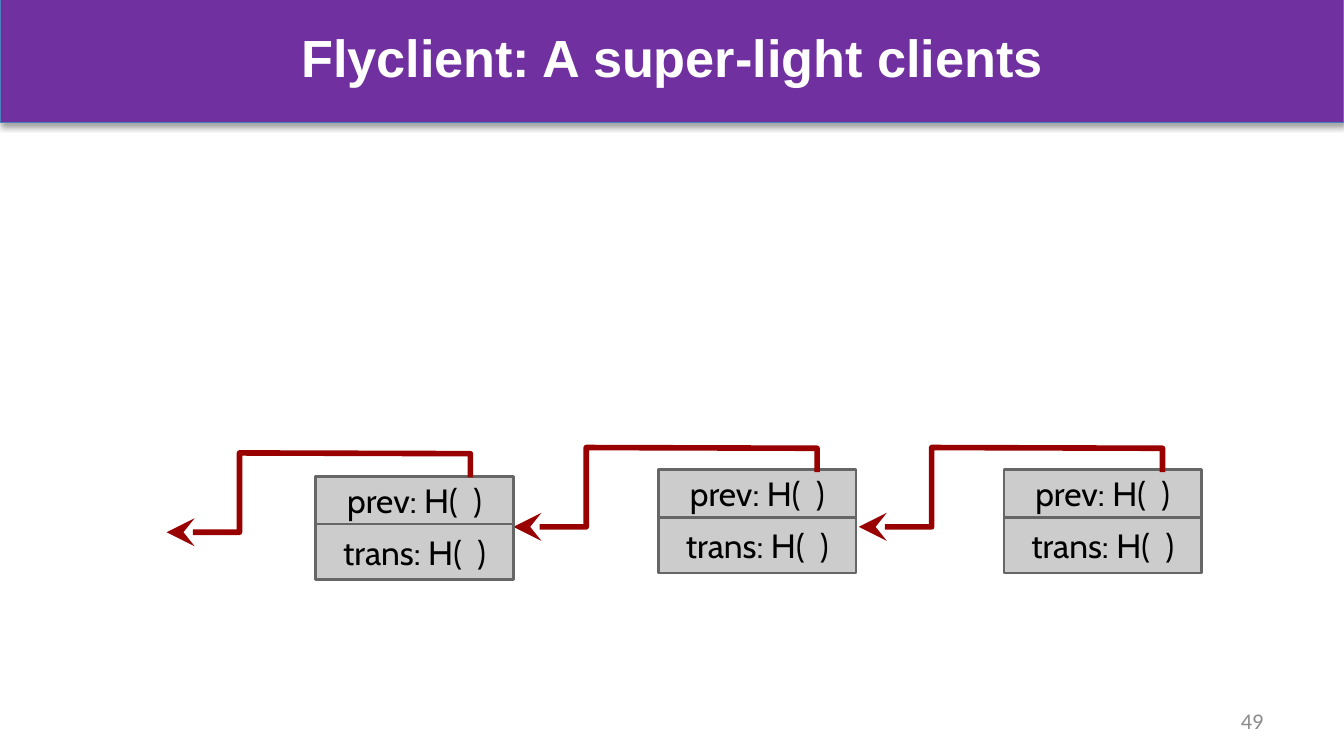
from collections import namedtuple

from lxml import etree
from pptx import Presentation
from pptx.dml.color import RGBColor
from pptx.enum.shapes import MSO_SHAPE
from pptx.enum.text import MSO_ANCHOR, PP_ALIGN
from pptx.oxml.ns import qn
from pptx.util import Inches, Pt

RECTANGLE = MSO_SHAPE.RECTANGLE
MIDDLE = MSO_ANCHOR.MIDDLE
CENTER, RIGHT = PP_ALIGN.CENTER, PP_ALIGN.RIGHT

COLORS = {
    "banner": "7030A0",
    "banner_edge": "4B7EBC",
    "title": "FFFFFF",
    "block": "CCCCCC",
    "block_edge": "666666",
    "block_text": "000000",
    "link": "990000",
    "number": "8C8C8C",
    "shadow": "000000",
}

WIDTH = 10
HEIGHT = WIDTH * 9 / 16
COLUMN = WIDTH / 100
ROW = COLUMN

Box = namedtuple("Box", "left top width height")

BANNER = Box(0, -0.1, 100, 9.2)
TITLE = Box(5, 1.4, 90, 6.8)
NUMBER = Box(71.7, 52.15, 23.3, 3)
BLOCK_WIDTH, BLOCK_HEIGHT = 14.7, 7.7
LINK_WIDTH, LINK_HEIGHT = 22.6, 5.9
CHAIN = [
    ((49, 34.95), (38.2, 33.3)),
    ((23.5, 35.45), (12.4, 33.7)),
    ((74.7, 34.95), (63.9, 33.3)),
]
PREV_SHARE = 0.46
LINK_PATH = [(1, 0.31), (1, 0.01), (0.24, 0), (0.24, 1), (0, 1)]


def place(box):
    return (Inches(box.left * COLUMN), Inches(box.top * ROW),
            Inches(box.width * COLUMN), Inches(box.height * ROW))


def color(name):
    return RGBColor.from_string(COLORS[name])


def write(shape, text, size, font, ink, align, bold=False):
    frame = shape.text_frame
    frame.text = text
    frame.vertical_anchor = MIDDLE
    para = frame.paragraphs[0]
    para.alignment = align
    span = para.runs[0]
    span.font.size = Pt(size)
    span.font.name = font
    span.font.bold = bold
    span.font.color.rgb = color(ink)


def add_rectangle(shapes, box, fill, edge, weight):
    shape = shapes.add_shape(RECTANGLE, *place(box))
    shape.shadow.inherit = False
    shape.fill.solid()
    shape.fill.fore_color.rgb = color(fill)
    shape.line.color.rgb = color(edge)
    shape.line.width = Pt(weight)
    return shape


def add_shadow(shape):
    effects = shape._element.spPr.find(qn("a:effectLst"))
    shadow = etree.SubElement(
        effects, qn("a:outerShdw"), blurRad=str(Pt(3.1)),
        dist=str(Pt(1.8)), dir="5400000", rotWithShape="0")
    ink = etree.SubElement(shadow, qn("a:srgbClr"), val=COLORS["shadow"])
    etree.SubElement(ink, qn("a:alpha"), val="35000")


def add_banner(page, box, title_box):
    add_shadow(add_rectangle(page.shapes, box, "banner", "banner_edge", 0.75))
    title = page.shapes.add_textbox(*place(title_box))
    write(title, "Flyclient: A super-light clients", 28, "Arial", "title",
          CENTER, bold=True)
    title.text_frame.margin_bottom = Inches(0.17)


def add_number(page, box):
    number = page.shapes.add_textbox(*place(box))
    number.text_frame.word_wrap = True
    write(number, "49", 12, "Calibri", "number", RIGHT)


def add_block(page, box):
    group = page.shapes.add_group_shape()
    prev_height = box.height * PREV_SHARE
    prev = box._replace(height=prev_height)
    trans = box._replace(top=box.top + prev_height,
                         height=box.height - prev_height)
    for cell, text in ((trans, "trans: H(  )"), (prev, "prev: H(  )")):
        shape = add_rectangle(group.shapes, cell, "block", "block_edge", 1.5)
        write(shape, text, 18, "Cabin", "block_text", CENTER)
        frame = shape.text_frame
        frame.word_wrap = True
        frame.margin_left = frame.margin_right = Inches(0.1)
        frame.margin_top = frame.margin_bottom = Inches(0.1)


def add_link(page, box):
    left, top, width, height = place(box)
    points = [(left + x * width, top + y * height) for x, y in LINK_PATH]
    builder = page.shapes.build_freeform(*points[0])
    builder.add_line_segments(points[1:], close=False)
    link = builder.convert_to_shape()
    link.shadow.inherit = False
    link.fill.background()
    link.line.color.rgb = color("link")
    link.line.width = Pt(3)
    etree.SubElement(link.line._get_or_add_ln(), qn("a:tailEnd"),
                     type="stealth", w="lg", len="lg")


def main():
    deck = Presentation()
    deck.slide_width, deck.slide_height = Inches(WIDTH), Inches(HEIGHT)
    page = deck.slides.add_slide(deck.slide_layouts[6])
    add_banner(page, BANNER, TITLE)
    add_number(page, NUMBER)
    for block_corner, link_corner in CHAIN:
        add_block(page, Box(*block_corner, BLOCK_WIDTH, BLOCK_HEIGHT))
        add_link(page, Box(*link_corner, LINK_WIDTH, LINK_HEIGHT))
    deck.save("out.pptx")


if __name__ == "__main__":
    main()
